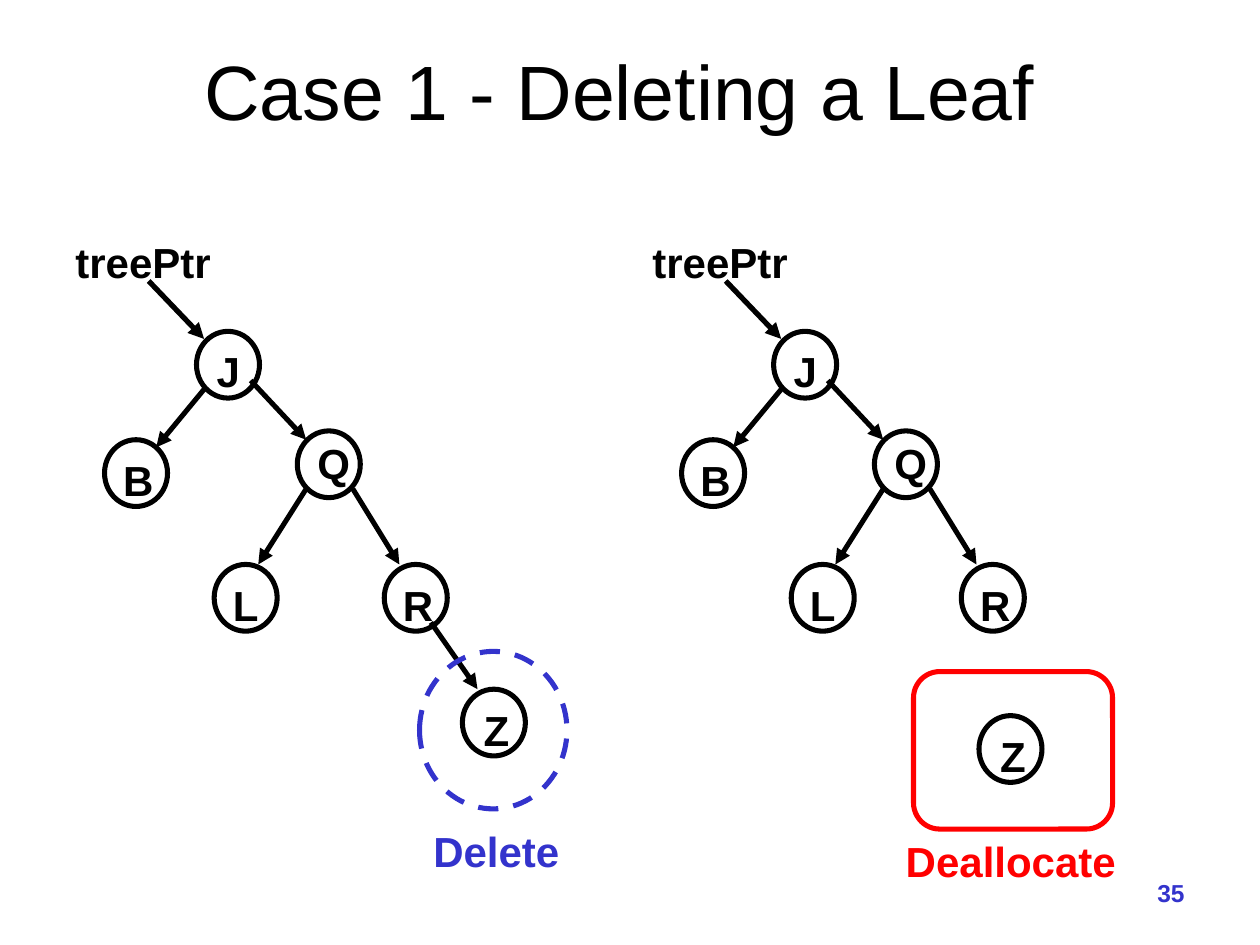
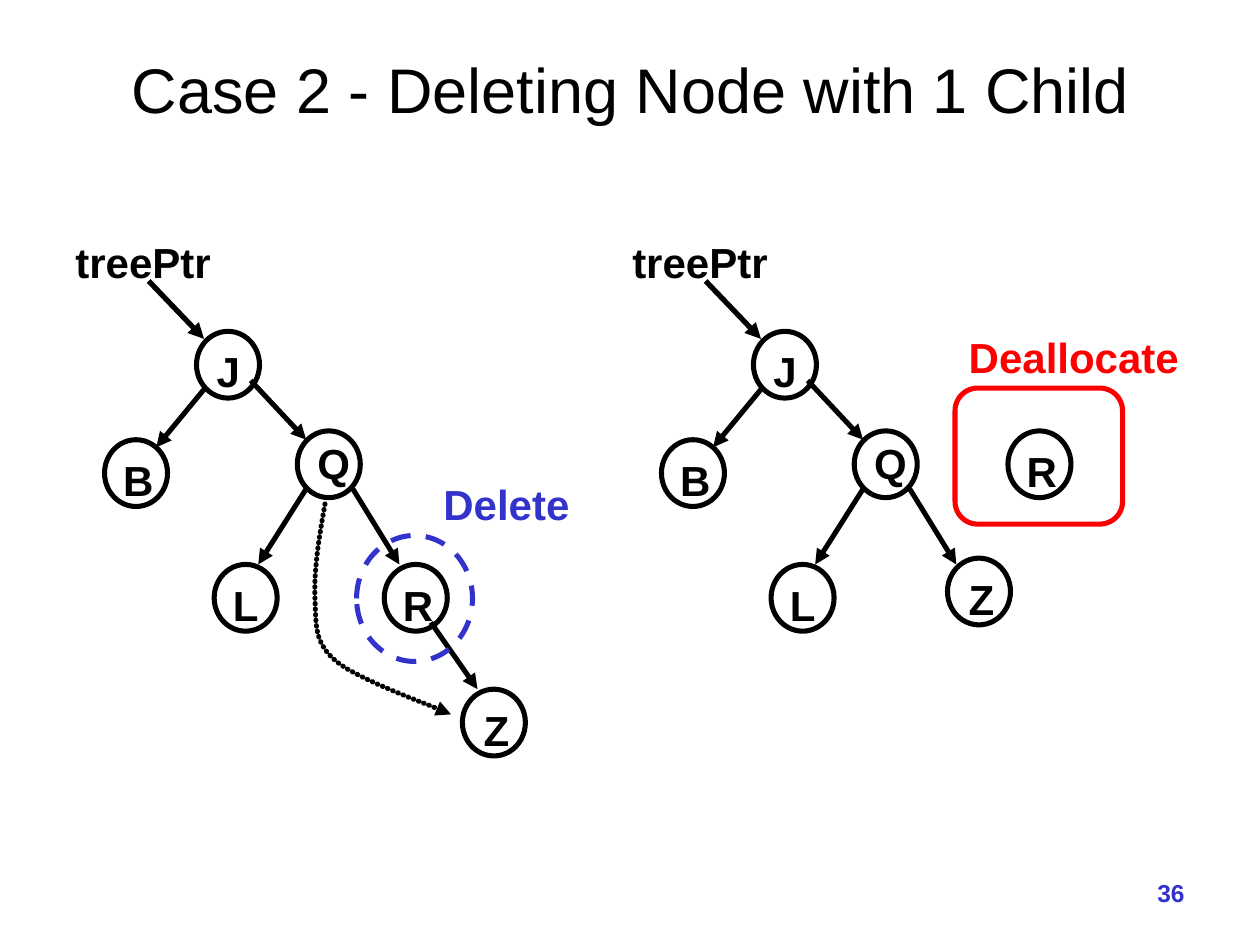
from pptx import Presentation, util as u
from pptx.dml.color import RGBColor
from pptx.enum import dml, shapes, text
from pptx.oxml.ns import qn
from lxml import etree

COLORS = {"ink": "000000", "delete": "3333CC", "free": "FF0000"}
FONT = "Arial"
LINE_PT = 2.89
NODE_W, NODE_H = 0.5, 0.53
TEXT_H = 0.5
LETTER_W = {"J": 0.38, "B": 0.44, "Q": 0.46, "L": 0.4, "R": 0.44, "Z": 0.4}
# Letters sit a little below the middle, except Q
LETTER_SHIFT = {"J": (0, 0.06), "B": (0.02, 0.07), "Q": (0.04, 0),
                "L": (0, 0.07), "R": (0.02, 0.07), "Z": (0.02, 0.07)}

# Left, top of each node in the full tree
NODES = {"J": (1.56, 2.63), "B": (0.83, 3.49), "Q": (2.36, 3.42),
         "L": (1.7, 4.48), "R": (3.05, 4.48), "Z": (3.67, 5.47)}
# Where the arrow leaves and meets each pair of nodes, from their top left
EDGES = {"JB": ((0.06, 0.46), (0.41, 0.06)), "JQ": ((0.43, 0.39), (0.07, 0.07)),
         "QL": ((0.07, 0.46), (0.35, 0)), "QR": ((0.44, 0.46), (0.12, 0)),
         "QZ": ((0.44, 0.46), (0.07, 0.05)), "RZ": ((0.37, 0.46), (0.12, 0))}
POINTER = {"label": (0.5, 1.83, 1.3), "arrow": ((1.18, 2.23), (1.62, 2.69))}
FULL = ["JB", "JQ", "QL", "QR", "RZ"]

# Each tree: shift to the right, moved nodes, edges
# Each mark: kind, outline box, label left, top
# Each loose node: letter, left, top
SLIDES = [
    {"title": "Case 1 - Deleting a Leaf", "size": 44, "at": (1.42, 0.29, 7, 0.84),
     "trees": [(0, {}, FULL), (4.58, {}, ["JB", "JQ", "QL", "QR"])],
     "marks": [("delete", (3.33, 5.17, 1.17, 1.25), (3.34, 6.5)),
               ("free", (7.25, 5.33, 1.58, 1.25), (7.09, 6.58))],
     "loose": ("Z", 7.77, 5.68)},
    {"title": "Case 2 - Deleting Node with 1 Child", "size": 36,
     "at": (0.67, 0.33, 8.67, 0.75),
     "trees": [(0, {}, FULL), (4.42, {"Z": (3.1, 4.43)}, ["JB", "JQ", "QL", "QZ"])],
     "marks": [("delete", (2.83, 4.25, 0.92, 1), (3.42, 3.75)),
               ("free", (7.58, 3.08, 1.33, 1.08), (7.59, 2.58))],
     "loose": ("R", 8, 3.42),
     "bypass": [(2.58, 4), (2.53, 4.27), (2.49, 4.54), (2.5, 4.75),
                (2.51, 4.96), (2.49, 5.1), (2.67, 5.25),
                (2.85, 5.4), (3.43, 5.6), (3.58, 5.67)]},
]
MARKS = {"delete": ("Delete", 1.22, shapes.MSO_SHAPE.OVAL),
         "free": ("Deallocate", 1.9, shapes.MSO_SHAPE.ROUNDED_RECTANGLE)}
FIRST_NUMBER = 35


def inches(*values):
    return [u.Inches(v) for v in values]


def write(sp, words, size, color="ink", bold=True, align=text.PP_ALIGN.LEFT,
          **frame):
    tf = sp.text_frame
    for name, value in frame.items():
        setattr(tf, name, value)
    tf.text = words
    p = tf.paragraphs[0]
    p.alignment = align
    font = p.runs[0].font
    for name, value in {"name": FONT, "size": u.Pt(size), "bold": bold}.items():
        setattr(font, name, value)
    font.color.rgb = RGBColor.from_string(COLORS[color])


def label(s, words, left, top, width, color="ink"):
    write(s.shapes.add_textbox(*inches(left, top, width, TEXT_H)), words, 24, color,
          word_wrap=False, auto_size=text.MSO_AUTO_SIZE.SHAPE_TO_FIT_TEXT)


def stroke(sp, color="ink", width=LINE_PT):
    sp.line.color.rgb = RGBColor.from_string(COLORS[color])
    sp.line.width = u.Pt(width)


def outline(s, preset, box, color="ink"):
    sp = s.shapes.add_shape(preset, *inches(*box))
    sp.shadow.inherit = False
    sp.fill.background()
    stroke(sp, color)
    return sp


def add_head(sp):
    etree.SubElement(sp.line._get_or_add_ln(), qn("a:tailEnd"), type="triangle")


def arrow(s, start, end, width=LINE_PT):
    sp = s.shapes.add_connector(shapes.MSO_CONNECTOR.STRAIGHT, *inches(*start, *end))
    stroke(sp, width=width)
    add_head(sp)
    etree.SubElement(sp._element.spPr, qn("a:effectLst"))


def node(s, letter, left, top):
    outline(s, shapes.MSO_SHAPE.OVAL, (left, top, NODE_W, NODE_H))
    dx, dy = LETTER_SHIFT[letter]
    width = LETTER_W[letter]
    label(s, letter, left + (NODE_W - width) / 2 + dx, top + dy, width)


def tree(s, shift, moved, edges):
    def right(point):
        return point[0] + shift, point[1]

    places = {k: right(v) for k, v in {**NODES, **moved}.items()}
    for letter in sorted(set("".join(edges))):
        node(s, letter, *places[letter])
    for edge in edges:
        ends = [[a + b for a, b in zip(places[k], offset)]
                for k, offset in zip(edge, EDGES[edge])]
        arrow(s, *ends)
    arrow(s, *map(right, POINTER["arrow"]), width=3)
    left, top, width = POINTER["label"]
    label(s, "treePtr", left + shift, top, width)


def bezier(a, b, c, d, steps=16):
    for t in (i / steps for i in range(1, steps + 1)):
        yield tuple((1 - t) ** 3 * w + 3 * t * (1 - t) ** 2 * x
                    + 3 * t * t * (1 - t) * y + t ** 3 * z
                    for w, x, y, z in zip(a, b, c, d))


def dotted_curve(s, points):
    # Freeform points are whole numbers, so draw in EMU
    points = [inches(*point) for point in points]
    fb = s.shapes.build_freeform(*points[0])
    for i in range(0, len(points) - 1, 3):
        fb.add_line_segments(list(bezier(*points[i:i + 4])), close=False)
    sp = fb.convert_to_shape()
    sp.shadow.inherit = False
    sp.fill.background()
    stroke(sp)
    # Round dots that nearly touch
    ln = sp.line._get_or_add_ln()
    ln.set("cap", "rnd")
    dash = etree.SubElement(ln, qn("a:custDash"))
    etree.SubElement(dash, qn("a:ds"), d="10000", sp="100000")
    add_head(sp)


def build(prs, data, number):
    s = prs.slides.add_slide(prs.slide_layouts[5])

    # Title
    title = s.shapes.title
    title.left, title.top, title.width, title.height = inches(*data["at"])
    write(title, data["title"], data["size"], bold=False,
          align=text.PP_ALIGN.CENTER, vertical_anchor=text.MSO_ANCHOR.MIDDLE,
          auto_size=text.MSO_AUTO_SIZE.NONE)

    # Trees before and after
    for parts in data["trees"]:
        tree(s, *parts)
    node(s, *data["loose"])
    if "bypass" in data:
        dotted_curve(s, data["bypass"])

    # Deleted and freed nodes
    for kind, box, place in data["marks"]:
        words, width, preset = MARKS[kind]
        sp = outline(s, preset, box, kind)
        if kind == "delete":
            sp.line.dash_style = dml.MSO_LINE.DASH
        label(s, words, *place, width, kind)

    # Slide number
    write(s.shapes.add_textbox(*inches(7.42, 6.92, 2.08, 0.41)), str(number), 14,
          "delete", align=text.PP_ALIGN.RIGHT, word_wrap=True)


def main():
    prs = Presentation()
    prs.slide_width, prs.slide_height = inches(10, 7.5)
    for number, data in enumerate(SLIDES, FIRST_NUMBER):
        build(prs, data, number)
    prs.save("out.pptx")


if __name__ == "__main__":
    main()
